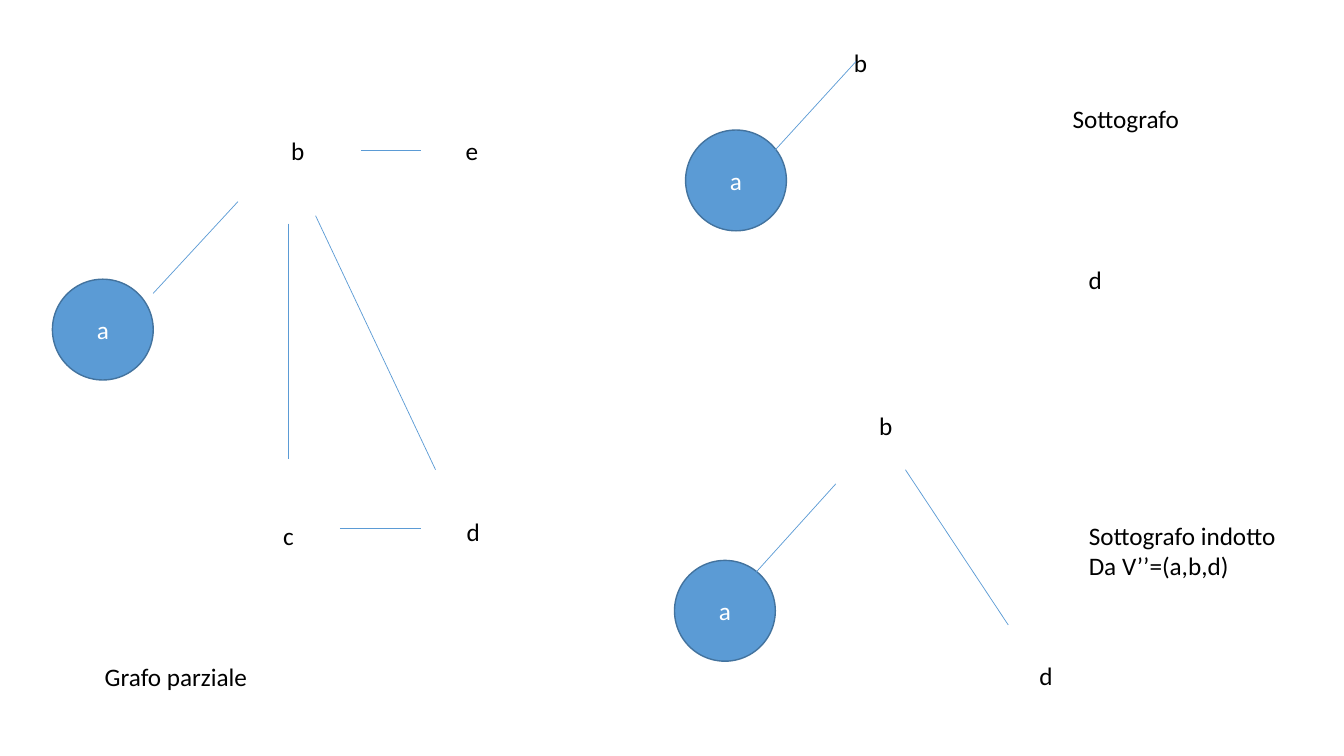
from lxml import etree
from pptx import Presentation
from pptx.dml.color import RGBColor
from pptx.enum import shapes, text
from pptx.oxml import ns
from pptx.util import Inches, Pt

COLOURS = {"node": "5B9BD5", "outline": "43739E", "edge": "5B9BD5",
           "ink": "000000", "node_text": "FFFFFF"}


class GraphPage:
    font = "Calibri"
    size = 18
    diameter = 1

    def __init__(self, deck):
        self.page = deck.slides.add_slide(deck.slide_layouts[6])

    def colour(self, name):
        return RGBColor.from_string(COLOURS[name])

    def add_span(self, para, words, colour):
        span = para.add_run()
        span.text = words
        span.font.name = self.font
        span.font.size = Pt(self.size)
        span.font.color.rgb = self.colour(colour)

    def node(self, left, top, name):
        circle = self.page.shapes.add_shape(
            shapes.MSO_SHAPE.OVAL, Inches(left), Inches(top),
            Inches(self.diameter), Inches(self.diameter))
        circle.shadow.inherit = False
        circle.fill.solid()
        circle.fill.fore_color.rgb = self.colour("node")
        circle.line.color.rgb = self.colour("outline")
        circle.line.width = Pt(1)
        circle.text_frame.vertical_anchor = text.MSO_ANCHOR.MIDDLE
        para = circle.text_frame.paragraphs[0]
        para.alignment = text.PP_ALIGN.CENTER
        self.add_span(para, name, "node_text")

    def label(self, left, top, width, *lines):
        height = 0.4 + 0.31 * (len(lines) - 1)
        box = self.page.shapes.add_textbox(
            Inches(left), Inches(top), Inches(width), Inches(height))
        frame = box.text_frame
        frame.word_wrap = False
        frame.auto_size = text.MSO_AUTO_SIZE.SHAPE_TO_FIT_TEXT
        for index, line in enumerate(lines):
            para = frame.add_paragraph() if index else frame.paragraphs[0]
            self.add_span(para, line, "ink")

    def edge(self, *ends):
        line = self.page.shapes.add_connector(
            shapes.MSO_CONNECTOR.STRAIGHT, *map(Inches, ends))
        line.line.color.rgb = self.colour("edge")
        line.line.width = Pt(0.5)
        etree.SubElement(line._element.spPr, ns.qn("a:effectLst"))

    def graph(self, node, labels, edges):
        self.node(*node)
        for label in labels:
            self.label(*label)
        for edge in edges:
            self.edge(*edge)


def main():
    deck = Presentation()
    deck.slide_width, deck.slide_height = Inches(13.33), Inches(7.5)
    page = GraphPage(deck)

    page.graph(
        (0.52, 2.77, "a"),
        [(2.79, 1.29, 0.34, "b"), (2.71, 5.11, 0.31, "c"),
         (4.52, 1.29, 0.33, "e"), (4.53, 5.07, 0.34, "d"),
         (0.94, 6.51, 1.63, "Grafo parziale")],
        [(1.52, 2.91, 2.36, 2), (2.86, 2.22, 2.86, 4.55),
         (3.58, 1.49, 4.18, 1.49), (3.13, 2.14, 4.32, 4.66),
         (3.37, 5.24, 4.18, 5.24)])
    page.graph(
        (6.8, 1.29, "a"),
        [(8.37, 0.42, 0.31, "b"), (10.7, 2.57, 0.34, "d"),
         (10.54, 0.98, 1.27, "Sottografo")],
        [(7.65, 1.53, 8.49, 0.61)])
    page.graph(
        (6.69, 5.56, "a"),
        [(8.62, 4.02, 0.34, "b"), (10.21, 6.5, 0.34, "d"),
         (10.7, 5.11, 2.08, "Sottografo indotto", "Da V’’=(a,b,d)")],
        [(7.46, 5.72, 8.29, 4.8), (8.98, 4.66, 10, 6.2)])

    deck.save("out.pptx")


if __name__ == "__main__":
    main()
